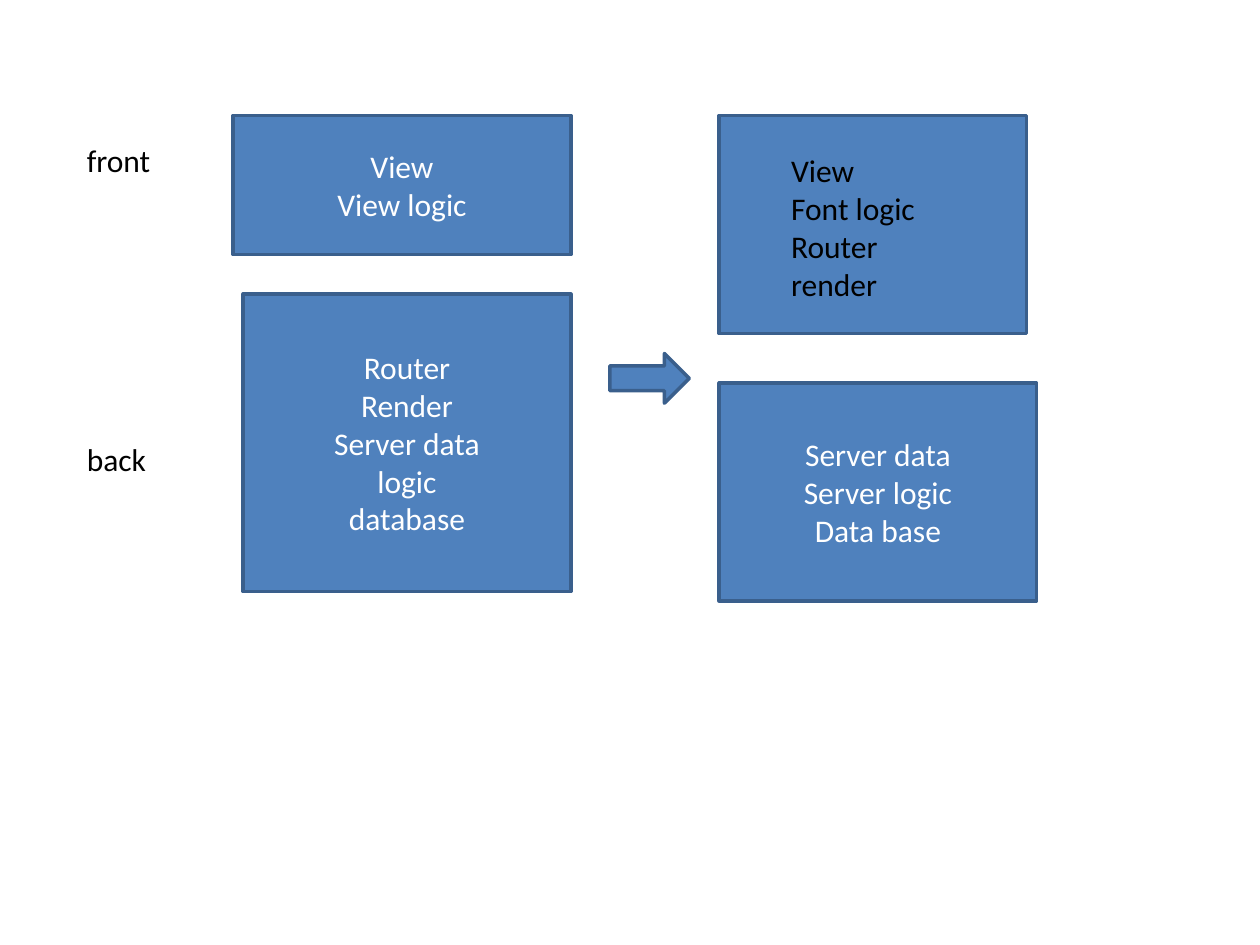
import pptx
import pptx.util
import pptx.dml.color
import pptx.enum.shapes
import pptx.enum.text

Pt = pptx.util.Pt
Shape = pptx.enum.shapes.MSO_SHAPE
Align = pptx.enum.text.PP_ALIGN
Anchor = pptx.enum.text.MSO_ANCHOR
COLORS = {"fill": "4F81BD", "border": "3A5F8C", "light": "FFFFFF", "dark": "000000"}


def rgb(name):
    return pptx.dml.color.RGBColor.from_string(COLORS[name])


def write_lines(frame, lines, color, align):
    for index, line in enumerate(lines):
        paragraph = frame.paragraphs[0] if index == 0 else frame.add_paragraph()
        paragraph.alignment = align
        run = paragraph.add_run()
        run.text = line
        run.font.name = "Calibri"
        run.font.size = Pt(18)
        run.font.color.rgb = rgb(color)


deck = pptx.Presentation()
deck.slide_width = Pt(720)
deck.slide_height = Pt(540)
slide = deck.slides.add_slide(deck.slide_layouts[6])

blocks = [
    (Shape.RECTANGLE, 133.2, 66, 193, 79.5, ["View", "View logic"]),
    (Shape.RECTANGLE, 139, 168, 187.2, 170,
     ["Router", "Render", "Server data", "logic", "database"]),
    (Shape.RECTANGLE, 411, 66, 175.7, 124.6, []),
    (Shape.RECTANGLE, 411, 218.9, 181.4, 124.6,
     ["Server data", "Server logic", "Data base"]),
    (Shape.RIGHT_ARROW, 348.5, 202, 45.4, 28.4, []),
]
for outline, left, top, width, height, lines in blocks:
    block = slide.shapes.add_shape(outline, Pt(left), Pt(top), Pt(width), Pt(height))
    block.shadow.inherit = False
    block.fill.solid()
    block.fill.fore_color.rgb = rgb("fill")
    block.line.color.rgb = rgb("border")
    block.line.width = Pt(2)
    block.text_frame.vertical_anchor = Anchor.MIDDLE
    write_lines(block.text_frame, lines, "light", Align.CENTER)

labels = [
    (42.5, 77, 51, 29, False, ["front"]),
    (42.5, 247.7, 49, 29, False, ["back"]),
    (445, 82.8, 124.6, 94.3, True, ["View", "Font logic", "Router", "render"]),
]
for left, top, width, height, wraps, lines in labels:
    label = slide.shapes.add_textbox(Pt(left), Pt(top), Pt(width), Pt(height))
    label.text_frame.word_wrap = wraps
    label.text_frame.auto_size = pptx.enum.text.MSO_AUTO_SIZE.SHAPE_TO_FIT_TEXT
    write_lines(label.text_frame, lines, "dark", Align.LEFT)

deck.save("out.pptx")
